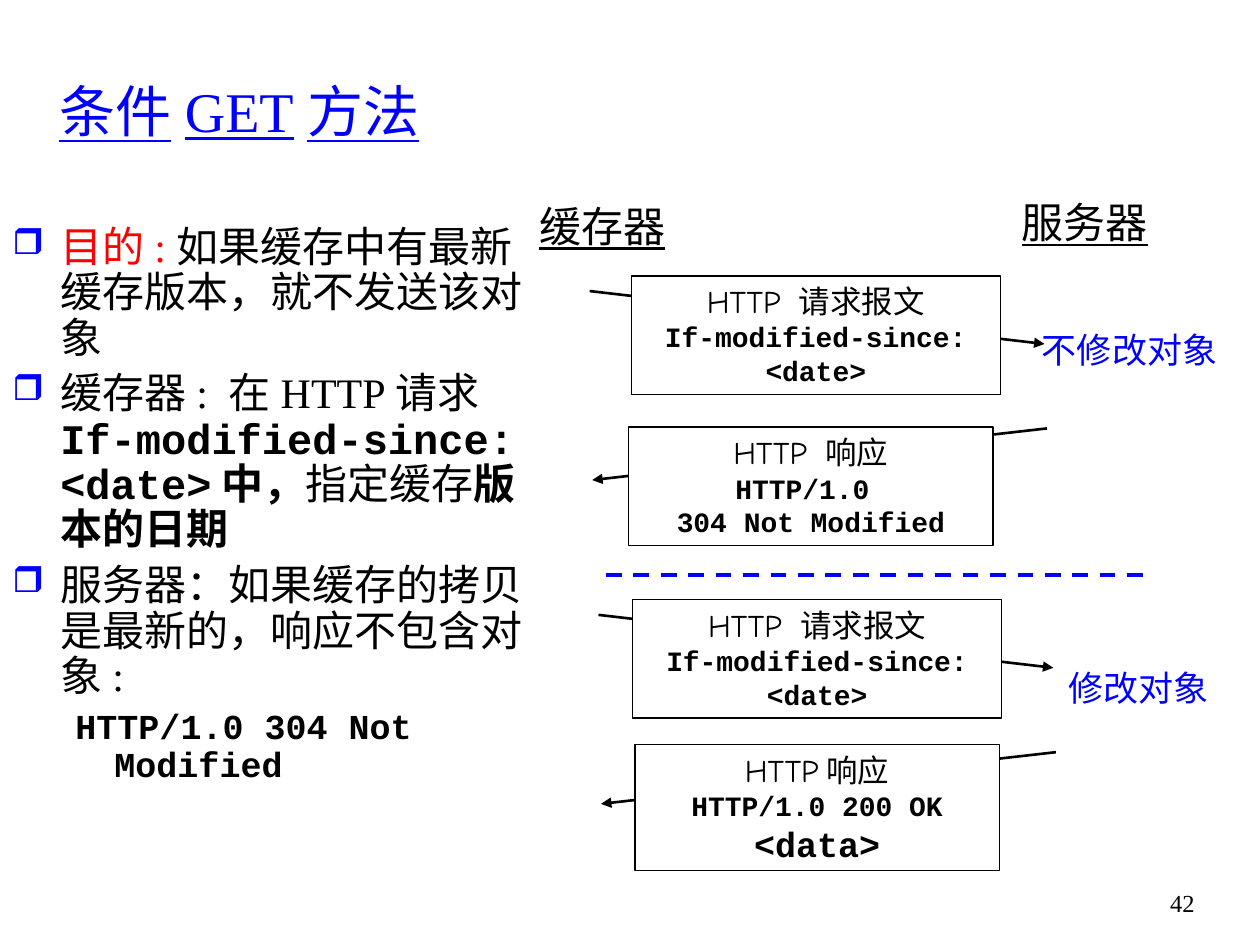
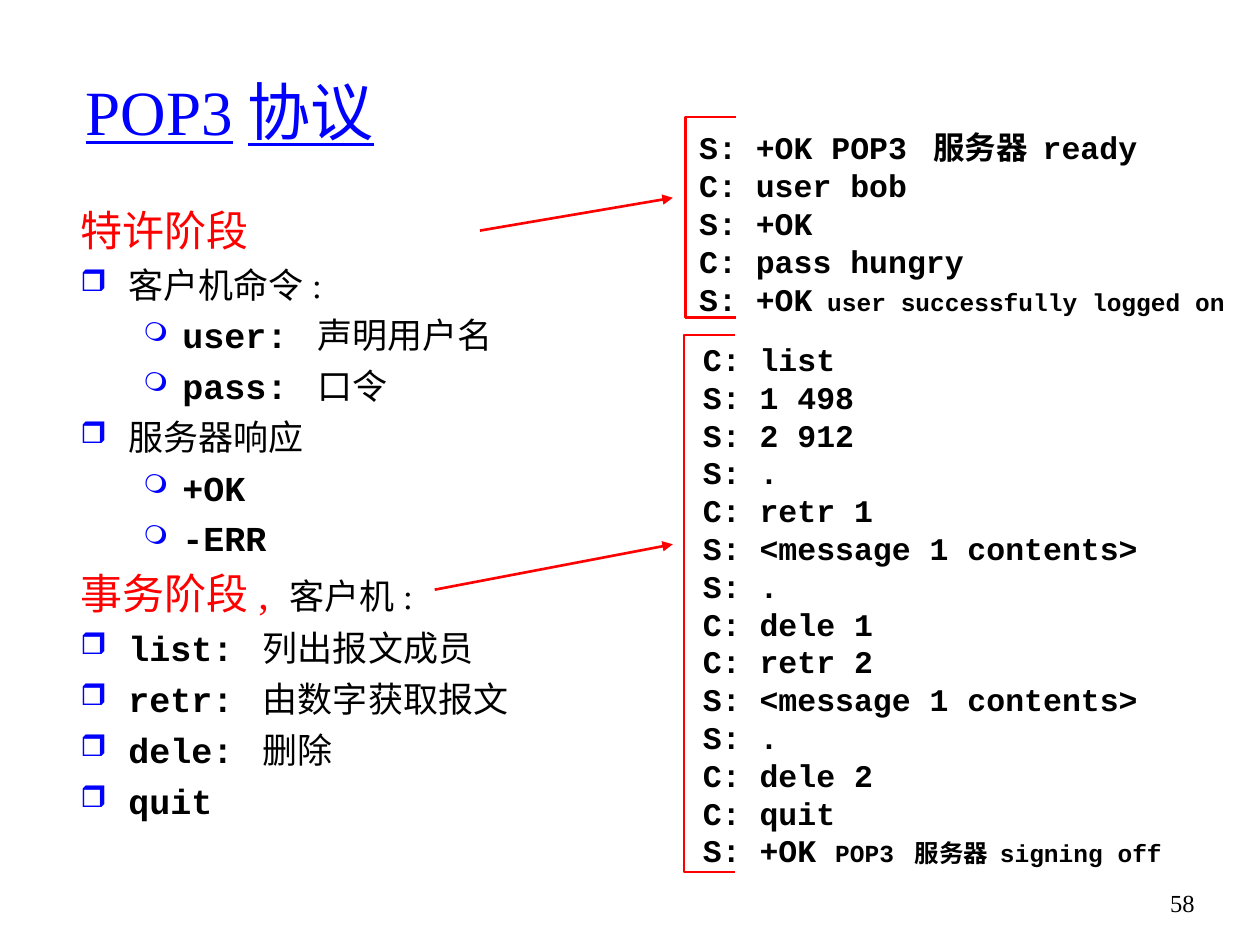
from lxml import etree
from pptx import Presentation
from pptx import util as u
from pptx.dml.color import RGBColor
from pptx.enum import dml, shapes, text
from pptx.oxml.ns import qn


class Theme:
    black, white, blue, red = "000000", "FFFFFF", "0000FF", "FF0000"
    serif, mono, hand = "Times New Roman", "Courier New", "Comic Neue"
    heading, body, box, code, small = 24, 20, 18, 16, 14
    leading = 1.2
    thin, line, dashed = 0.75, 1.5, 2.25


# left margin, first-line indent, bullet, bullet size in percent
LEVELS = {
    "none": (0, 0, None, 0),
    "hanging": (0.38, -0.38, None, 0),
    "square": (0.38, -0.38, "❒", 85),
    "circle": (0.81, -0.31, "❍", 75),
    "sub": (0.81, -0.31, None, 0),
}
RED = dict(color=Theme.red)
CODE = dict(font=Theme.mono, bold=True)
HEAD = dict(size=Theme.heading, color=Theme.red)
SMALL = dict(size=Theme.small)


def para(*runs, level="none", **format):
    """A paragraph: runs are plain strings or (string, format) pairs."""
    return dict(runs=[r if isinstance(r, tuple) else (r, {}) for r in runs],
                level=level, format=format)


CACHE_POINTS = [
    para(("目的:", RED), "如果缓存中有最新缓存版本，就不发送该对象", level="square"),
    para("缓存器: 在HTTP请求", ("If-modified-since: <date>中，", CODE), "指定缓存",
         ("版本的日期", CODE), level="square", before=6),
    para("服务器：如果缓存的拷贝是最新的，响应不包含对象:", level="square", before=6),
    para("HTTP/1.0 304 Not Modified", level="sub", before=5, size=Theme.body, **CODE),
]
MESSAGE_CODE = dict(size=Theme.code, **CODE)
REQUEST = [para("HTTP 请求报文"), para("If-modified-since: <date>", **MESSAGE_CODE)]
NOT_MODIFIED = [para("HTTP 响应"), para("HTTP/1.0 ", **MESSAGE_CODE),
                para("304 Not Modified", **MESSAGE_CODE)]
OK_WITH_DATA = [para("HTTP响应"), para("HTTP/1.0 200 OK", **MESSAGE_CODE),
                para("<data>", size=Theme.body, **CODE)]
# shift of the arrows, request box, response box, response, outcome, its place
EXCHANGES = [
    ((0, 0), (5.01, 2.19, 2.93, 0.94), (4.99, 3.39, 2.89, 0.94), NOT_MODIFIED,
     "不修改对象", (8.17, 2.56, 1.59, 0.44)),
    ((0.07, 2.57), (5.02, 4.76, 2.93, 0.94), (5.04, 5.91, 2.89, 1), OK_WITH_DATA,
     "修改对象", (8.38, 5.24, 1.31, 0.44)),
]
REQUEST_ARROW = ((4.68, 2.31), (8.29, 2.73))
RESPONSE_ARROW = ((8.31, 3.4), (4.7, 3.81))
HOSTS = [("缓存器", (4.18, 1.54, 1.2, 0.5)), ("服务器", (8.01, 1.51, 1.2, 0.5))]


def command(name, meaning="", level="square"):
    return para((name, CODE), meaning, level=level, before=5)


POP3_POINTS = [
    para("特许阶段", level="hanging", **HEAD),
    para("客户机命令:", level="square", before=5),
    command("user: ", "声明用户名", "circle"),
    command("pass: ", "口令", "circle"),
    para("服务器响应", level="square", before=5),
    command("+OK", level="circle"),
    command("-ERR", level="circle"),
    para(("事务阶段, ", HEAD), "客户机:", level="hanging", before=5),
    command("list: ", "列出报文成员"),
    command("retr: ", "由数字获取报文"),
    command("dele: ", "删除"),
    command("quit"),
]
LOGIN = [para(line) for line in (
    "S: +OK POP3 服务器 ready", "C: user bob", "S: +OK", "C: pass hungry")]
LOGIN.append(para("S: +OK", (" user successfully logged on", SMALL)))
SESSION = [para(line) for line in (
    "C: list", "S: 1 498", "S: 2 912", "S: .", "C: retr 1",
    "S: <message 1 contents>", "S: .", "C: dele 1", "C: retr 2",
    "S: <message 1 contents>", "S: .", "C: dele 2", "C: quit")]
SESSION.append(para("S: +OK ", ("POP3 服务器 signing off", SMALL)))
# lines, text left and top, bracket left, top and height, arrow
TRANSCRIPTS = [
    (LOGIN, (5.45, 0.97), (5.44, 0.93, 1.59), ((3.81, 1.83), (5.34, 1.57))),
    (SESSION, (5.48, 2.65), (5.43, 2.66, 4.26), ((3.45, 4.68), (5.34, 4.32))),
]
BRACKET_ARM = 0.4


def inches(values):
    return [u.Inches(value) for value in values]


def set_level(paragraph, level):
    margin, indent, bullet, percent = LEVELS[level]
    properties = paragraph._p.get_or_add_pPr()
    properties.set("marL", str(u.Inches(margin)))
    properties.set("indent", str(u.Inches(indent)))
    if not bullet:
        etree.SubElement(properties, qn("a:buNone"))
        return
    color = etree.SubElement(properties, qn("a:buClr"))
    etree.SubElement(color, qn("a:srgbClr"), val=Theme.blue)
    etree.SubElement(properties, qn("a:buSzPct"), val=str(percent * 1000))
    etree.SubElement(properties, qn("a:buChar"), char=bullet)


def write_text(frame, paragraphs, align="LEFT", anchor="TOP", wrap=True, spacing=1.0,
               **base):
    """Fill a text frame; base is the format that paragraphs and runs override."""
    frame.word_wrap = wrap
    frame.auto_size = text.MSO_AUTO_SIZE.NONE
    frame.vertical_anchor = getattr(text.MSO_ANCHOR, anchor)
    for index, content in enumerate(paragraphs):
        paragraph = frame.add_paragraph() if index else frame.paragraphs[0]
        set_level(paragraph, content["level"])
        paragraph.alignment = getattr(text.PP_ALIGN, align)
        largest = 0
        for words, own in content["runs"]:
            if not words:
                continue
            style = {"font": Theme.serif, "color": Theme.black, **base,
                     **content["format"], **own}
            run = paragraph.add_run()
            run.text = words
            run.font.name = style["font"]
            run.font.size = u.Pt(style["size"])
            run.font.bold = style.get("bold", False)
            run.font.underline = style.get("underline", False)
            run.font.color.rgb = RGBColor.from_string(style["color"])
            largest = max(largest, style["size"])
        paragraph.line_spacing = u.Pt(round(largest * Theme.leading * spacing, 1))
        paragraph.space_before = u.Pt(content["format"].get("before", 0))
        paragraph.space_after = u.Pt(0)


def add_text(slide, place, paragraphs, **format):
    box = slide.shapes.add_textbox(*inches(place))
    write_text(box.text_frame, paragraphs, **format)


def add_line(slide, start, end, color, width=Theme.line, arrow=True, dashed=False):
    line = slide.shapes.add_connector(shapes.MSO_CONNECTOR.STRAIGHT,
                                      *inches((*start, *end)))
    line.line.color.rgb = RGBColor.from_string(color)
    line.line.width = u.Pt(width)
    if dashed:
        line.line.dash_style = dml.MSO_LINE.DASH
    if arrow:
        etree.SubElement(line.line._get_or_add_ln(), qn("a:tailEnd"), type="triangle")
    etree.SubElement(line._element.spPr, qn("a:effectLst"))


def add_message(slide, place, paragraphs):
    box = slide.shapes.add_shape(shapes.MSO_SHAPE.RECTANGLE, *inches(place))
    box.shadow.inherit = False
    box.fill.solid()
    box.fill.fore_color.rgb = RGBColor.from_string(Theme.white)
    box.line.color.rgb = RGBColor.from_string(Theme.black)
    box.line.width = u.Pt(Theme.thin)
    write_text(box.text_frame, paragraphs, align="CENTER", font=Theme.hand,
               size=Theme.box)


def add_bracket(slide, left, top, height):
    right, bottom = left + BRACKET_ARM, top + height
    builder = slide.shapes.build_freeform(*inches((right, top)))
    builder.add_line_segments(
        [inches(point) for point in ((left, top), (left, bottom), (right, bottom))],
        close=False)
    bracket = builder.convert_to_shape()
    bracket.shadow.inherit = False
    bracket.fill.background()
    bracket.line.color.rgb = RGBColor.from_string(Theme.red)
    bracket.line.width = u.Pt(Theme.line)


def add_slide(presentation, title, left, size, number):
    slide = presentation.slides.add_slide(presentation.slide_layouts[5])
    heading = slide.shapes.title
    heading.left, heading.top, heading.width, heading.height = inches(
        (left, 0.25, 9.08 - left, 1.25))
    write_text(heading.text_frame, [para(title)], anchor="MIDDLE", size=size,
               color=Theme.blue, underline=True)
    add_text(slide, (9.08, 7, 0.5, 0.5), [para(number)], align="RIGHT",
             size=Theme.small)
    return slide


def add_conditional_get(presentation):
    slide = add_slide(presentation, "条件GET方法", 0.37, 32, "42")
    add_text(slide, (0, 1.74, 4.42, 4.71), CACHE_POINTS, size=Theme.heading,
             spacing=0.9)
    label = dict(align="CENTER", wrap=False, font=Theme.hand)
    for host, place in HOSTS:
        add_text(slide, place, [para(host)], size=Theme.heading, underline=True, **label)
    for (dx, dy), request_box, response_box, response, outcome, place in EXCHANGES:
        for arrow, box, message in ((REQUEST_ARROW, request_box, REQUEST),
                                    (RESPONSE_ARROW, response_box, response)):
            start, end = [(x + dx, y + dy) for x, y in arrow]
            add_line(slide, start, end, Theme.black)
            add_message(slide, box, message)
        add_text(slide, place, [para(outcome)], size=Theme.body, color=Theme.blue,
                 **label)
    add_line(slide, (4.81, 4.56), (9.08, 4.56), Theme.blue, Theme.dashed,
             arrow=False, dashed=True)


def add_pop3(presentation):
    slide = add_slide(presentation, "POP3协议", 0.58, 36, "58")
    add_text(slide, (0.54, 1.57, 4.34, 5.08), POP3_POINTS, size=Theme.body)
    for lines, (left, top), bracket, (start, end) in TRANSCRIPTS:
        height = 0.1 + len(lines) * Theme.box * Theme.leading / 72
        add_text(slide, (left, top, 4.45, height), lines, size=Theme.box, **CODE)
        add_bracket(slide, *bracket)
        add_line(slide, start, end, Theme.red)


def main():
    presentation = Presentation()
    presentation.slide_width, presentation.slide_height = inches((10, 7.5))
    add_conditional_get(presentation)
    add_pop3(presentation)
    presentation.save("out.pptx")


if __name__ == "__main__":
    main()
